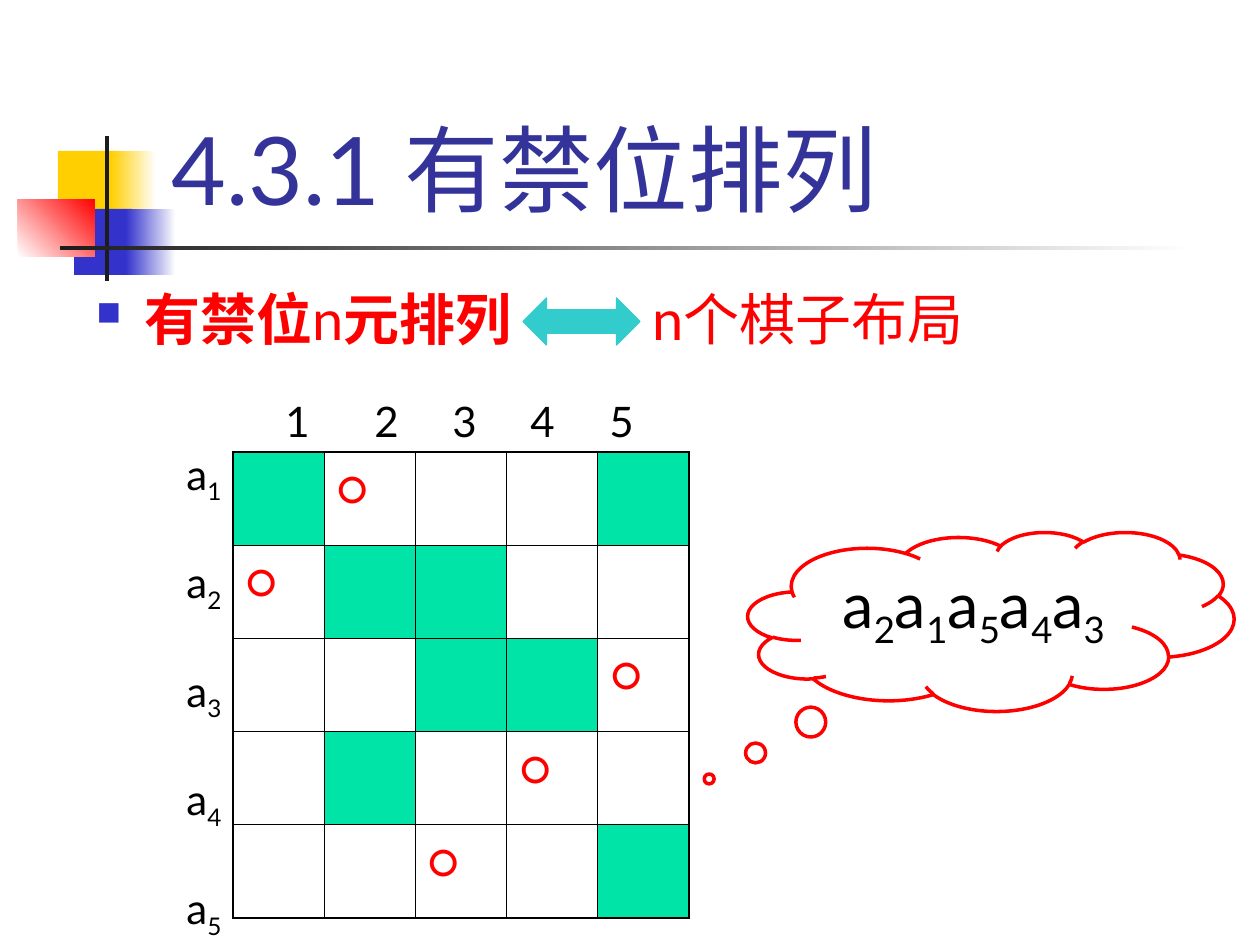
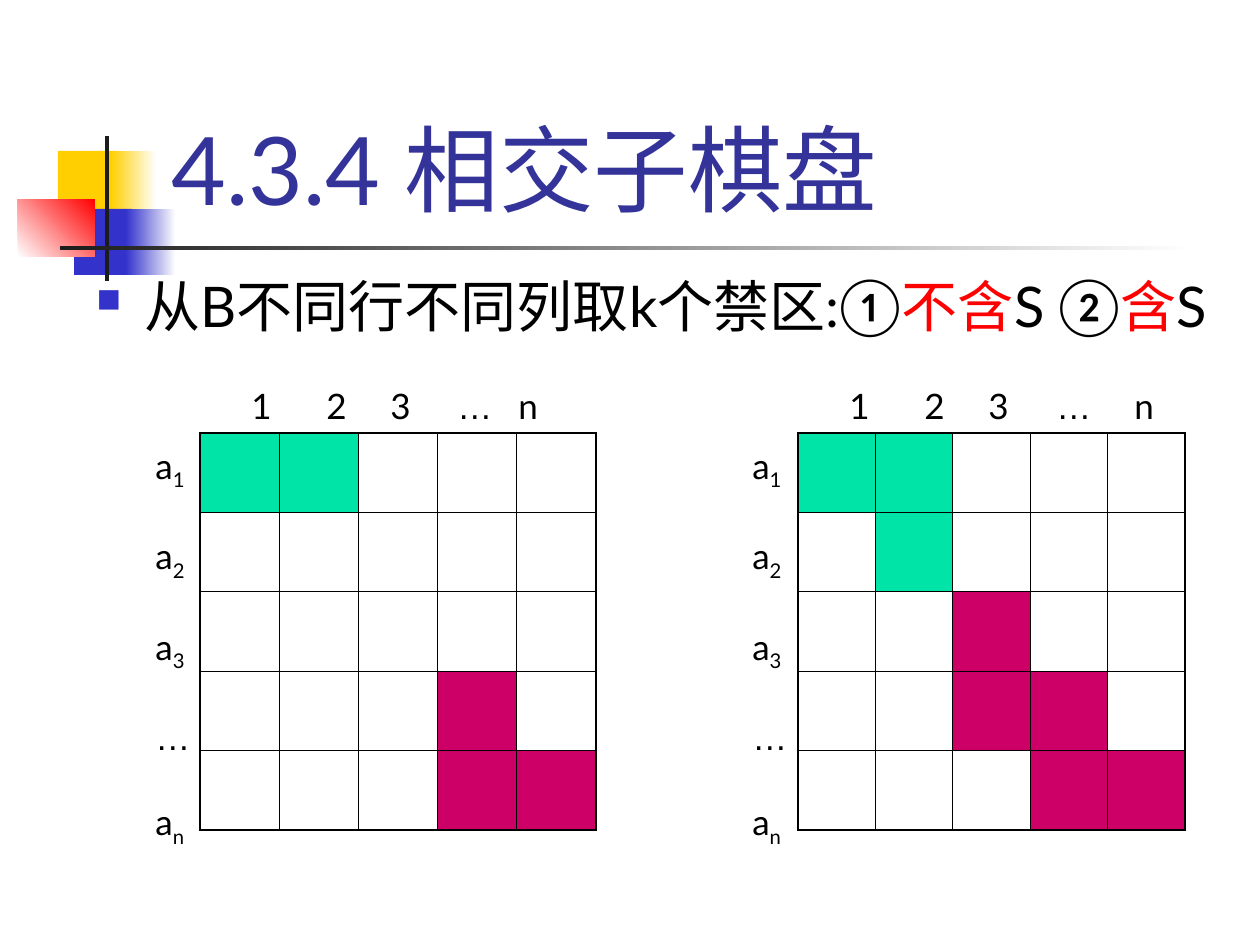
import pptx
import pptx.util
import pptx.dml.color
import pptx.enum.shapes
import pptx.enum.text
import pptx.oxml.ns
from lxml import etree

RGB = pptx.dml.color.RGBColor
SHAPE = pptx.enum.shapes.MSO_SHAPE
ALIGN = pptx.enum.text.PP_ALIGN
ANCHOR = pptx.enum.text.MSO_ANCHOR

BLACK = RGB(0x00, 0x00, 0x00)
WHITE = RGB(0xFF, 0xFF, 0xFF)
RED = RGB(0xFF, 0x00, 0x00)
YELLOW = RGB(0xFF, 0xCF, 0x01)
BLUE = RGB(0x33, 0x33, 0xCC)
NAVY = RGB(0x33, 0x33, 0x99)
CHARCOAL = RGB(0x1C, 0x1C, 0x1C)
TEAL = RGB(0x33, 0xCC, 0xCC)
GREEN = RGB(0x00, 0xE4, 0xA8)
CRIMSON = RGB(0xCC, 0x00, 0x66)

PX = 914400 / 126
FONT = "Lato"
LINE_HEIGHT = 1.22
BULLET_INDENT = 48
THIN, THICK = 0.45, 1.08

# box, first colour, last colour, angle
ORNAMENTS = [
    ((58, 151, 60, 66), YELLOW, YELLOW, 0),
    ((111, 151, 45, 66), YELLOW, WHITE, 0),
    ((74, 209, 58, 66), BLUE, BLUE, 0),
    ((126, 209, 50, 66), BLUE, WHITE, 0),
    ((18, 199, 77, 58), WHITE, RED, 45),
    ((105, 136, 4, 145), CHARCOAL, CHARCOAL, 0),
    ((60, 246, 1134, 4), CHARCOAL, WHITE, 0),
]

TITLE_BOX = (159, 29, 1074, 202)

# In the boards: G green, C crimson, o a piece, . an empty square
CELL_FILLS = {"G": GREEN, "C": CRIMSON}

SLIDES = [
    {
        "title": "4.3.1 有禁位排列",
        "body_box": (84, 278, 1152, 667),
        "body": [("有禁位", RED, True), ("n", RED, False), ("元排列", RED, True),
                 ("\tn个棋子布局", RED, False)],
        "body_tabs": [556],
        "label_size": 24,
        "boards": [{
            "box": (233, 452, 456, 466),
            "cells": ["Go..G", "oGG..", "..GGo", ".G.o.", "..o.G"],
            "columns": ["1", "2", "3", "4", "5"],
            "column_box": (273, 389, 374, 63),
            "column_tabs": [89, 167, 245, 324],
            "rows": ["a1", "a2", "a3", "a4", "a5"],
            "row_box": (174, 442, 63, 501),
        }],
    },
    {
        "title": "4.3.4 相交子棋盘",
        "body_box": (84, 265, 1176, 680),
        "body": [("从B不同行不同列取k个禁区:①", BLACK, False), ("不含", RED, False),
                 ("S ②", BLACK, False), ("含", RED, False), ("S", BLACK, False)],
        "body_tabs": [],
        "label_size": 20,
        "boards": [
            {
                "box": (200, 433, 396, 397),
                "cells": ["GG...", ".....", ".....", "...C.", "...CC"],
                "columns": ["1", "2", "3", "…", "n"],
                "column_box": (239, 378, 315, 55),
                "column_tabs": [75, 139, 206, 267],
                "rows": ["a1", "a2", "a3", "…", "an"],
                "row_box": (143, 438, 60, 415),
            },
            {
                "box": (798, 433, 387, 397),
                "cells": ["GG...", ".G...", "..C..", "..CC.", "...CC"],
                "columns": ["1", "2", "3", "…", "n"],
                "column_box": (837, 378, 334, 55),
                "column_tabs": [75, 139, 207, 285],
                "rows": ["a1", "a2", "a3", "…", "an"],
                "row_box": (740, 438, 60, 415),
            },
        ],
    },
]

ARROW_BOX = (523, 298, 117, 47)
CLOUD_BOX = (748, 532, 486, 179)
CLOUD_TERMS = ["a2", "a1", "a5", "a4", "a3"]


def emu(*lengths):
    return [round(length * PX) for length in lengths]


def add_xml(parent, tag, **attributes):
    return etree.SubElement(parent, pptx.oxml.ns.qn(tag), attributes)


def write(para, text, size, colour=BLACK, bold=False, subscript=False):
    span = para.add_run()
    span.text = text
    span.font.name = "Arial" if text.strip() == "…" else FONT
    span.font.size = pptx.util.Pt(size)
    span.font.bold = bold
    span.font.color.rgb = colour
    if subscript:
        span.font._element.set("baseline", "-25000")


def write_term(para, term, size):
    """Write a letter followed by its index as a subscript."""
    write(para, term[0], size)
    if term[1:]:
        write(para, term[1:], size, subscript=True)


def set_tabs(para, stops):
    if stops:
        tab_list = add_xml(para._p.get_or_add_pPr(), "a:tabLst")
        for stop in stops:
            add_xml(tab_list, "a:tab", pos=str(emu(stop)[0]), algn="l")


def add_text_box(page, box, wrap=False):
    frame = page.shapes.add_textbox(*emu(*box)).text_frame
    frame.word_wrap = wrap
    return frame


def add_plain_shape(page, kind, box):
    shape = page.shapes.add_shape(kind, *emu(*box))
    shape.shadow.inherit = False
    return shape


def move_ornaments_to_layout(page, layout):
    for box, first, last, angle in ORNAMENTS:
        shape = add_plain_shape(page, SHAPE.RECTANGLE, box)
        shape.line.fill.background()
        if first == last:
            shape.fill.solid()
            shape.fill.fore_color.rgb = first
        else:
            shape.fill.gradient()
            shape.fill.gradient_angle = angle
            for stop, colour in zip(shape.fill.gradient_stops, (first, last)):
                stop.color.rgb = colour
        layout.shapes.element.append(shape.element)


def add_title(page, text):
    title = page.shapes.title
    title.left, title.top, title.width, title.height = emu(*TITLE_BOX)
    frame = title.text_frame
    frame.vertical_anchor = ANCHOR.BOTTOM
    frame.auto_size = pptx.enum.text.MSO_AUTO_SIZE.NONE
    frame.paragraphs[0].alignment = ALIGN.LEFT
    write(frame.paragraphs[0], text, 54, NAVY)


def add_body(page, box, spans, tabs):
    para = add_text_box(page, box, wrap=True).paragraphs[0]
    properties = para._p.get_or_add_pPr()
    indent = emu(BULLET_INDENT)[0]
    properties.set("marL", str(indent))
    properties.set("indent", str(-indent))
    add_xml(add_xml(properties, "a:buClr"), "a:srgbClr", val=str(BLUE))
    add_xml(properties, "a:buSzPct", val="60000")
    add_xml(properties, "a:buChar", char="■")
    set_tabs(para, tabs)
    for text, colour, bold in spans:
        write(para, text, 32, colour, bold)


def set_borders(cell, outer_sides):
    properties = cell._tc.get_or_add_tcPr()
    for side in "LRTB":
        width = pptx.util.Pt(THICK if side in outer_sides else THIN)
        line = add_xml(properties, "a:ln" + side, w=str(width))
        add_xml(add_xml(line, "a:solidFill"), "a:srgbClr", val=str(BLACK))


def add_board(page, board, label_size):
    cells = board["cells"]
    last = len(cells) - 1
    table = page.shapes.add_table(len(cells), len(cells), *emu(*board["box"])).table
    table.first_row = table.horz_banding = False
    for row, marks in enumerate(cells):
        for column, mark in enumerate(marks):
            cell = table.cell(row, column)
            edges = {"L": column == 0, "R": column == last, "T": row == 0, "B": row == last}
            set_borders(cell, [side for side in edges if edges[side]])
            if mark in CELL_FILLS:
                cell.fill.solid()
                cell.fill.fore_color.rgb = CELL_FILLS[mark]
            else:
                cell.fill.background()
            if mark == "o":
                write(cell.text_frame.paragraphs[0], "○", 28, RED)

    heading = add_text_box(page, board["column_box"]).paragraphs[0]
    set_tabs(heading, board["column_tabs"])
    for number, label in enumerate(board["columns"]):
        if number:
            write(heading, "\t", label_size)
        write(heading, label, label_size)

    frame = add_text_box(page, board["row_box"])
    for number, label in enumerate(board["rows"]):
        para = frame.add_paragraph() if number else frame.paragraphs[0]
        if number:
            para.space_before = pptx.util.Pt(label_size * LINE_HEIGHT)
        write_term(para, label, label_size)


def add_arrow_and_cloud(page):
    arrow = add_plain_shape(page, SHAPE.LEFT_RIGHT_ARROW, ARROW_BOX)
    arrow.fill.solid()
    arrow.fill.fore_color.rgb = TEAL
    arrow.line.color.rgb = TEAL
    arrow.line.width = pptx.util.Pt(0.75)

    cloud = add_plain_shape(page, SHAPE.CLOUD_CALLOUT, CLOUD_BOX)
    cloud.adjustments[0], cloud.adjustments[1] = -0.58, 0.88
    cloud.fill.background()
    cloud.line.color.rgb = RED
    cloud.line.width = pptx.util.Pt(2)
    cloud.text_frame.vertical_anchor = ANCHOR.TOP
    para = cloud.text_frame.paragraphs[0]
    para.alignment = ALIGN.CENTER
    for term in CLOUD_TERMS:
        write_term(para, term, 36)


def main():
    deck = pptx.Presentation()
    deck.slide_width, deck.slide_height = emu(1260, 945)
    layout = deck.slide_layouts.get_by_name("Title Only")
    pages = []
    for content in SLIDES:
        page = deck.slides.add_slide(layout)
        pages.append(page)
        add_title(page, content["title"])
        add_body(page, content["body_box"], content["body"], content["body_tabs"])
        for board in content["boards"]:
            add_board(page, board, content["label_size"])
    move_ornaments_to_layout(pages[0], layout)
    add_arrow_and_cloud(pages[0])
    deck.save("out.pptx")


if __name__ == "__main__":
    main()
